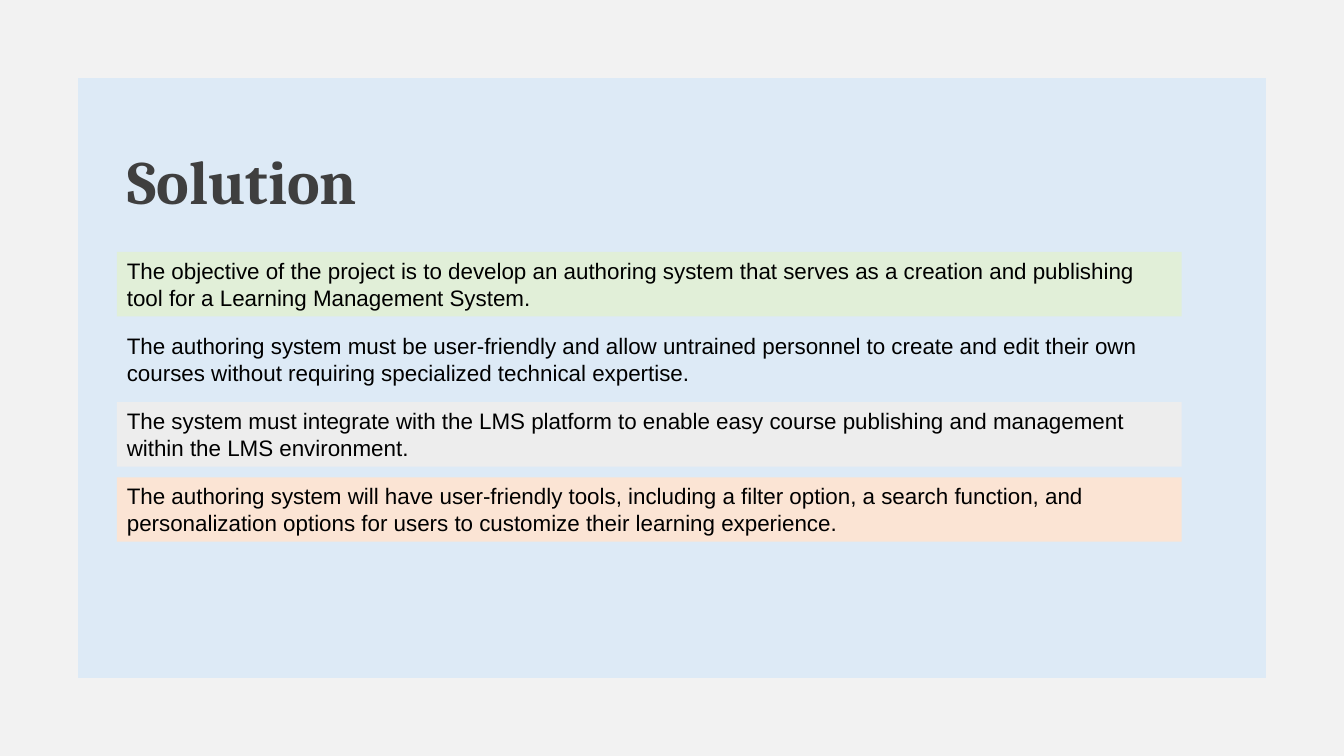
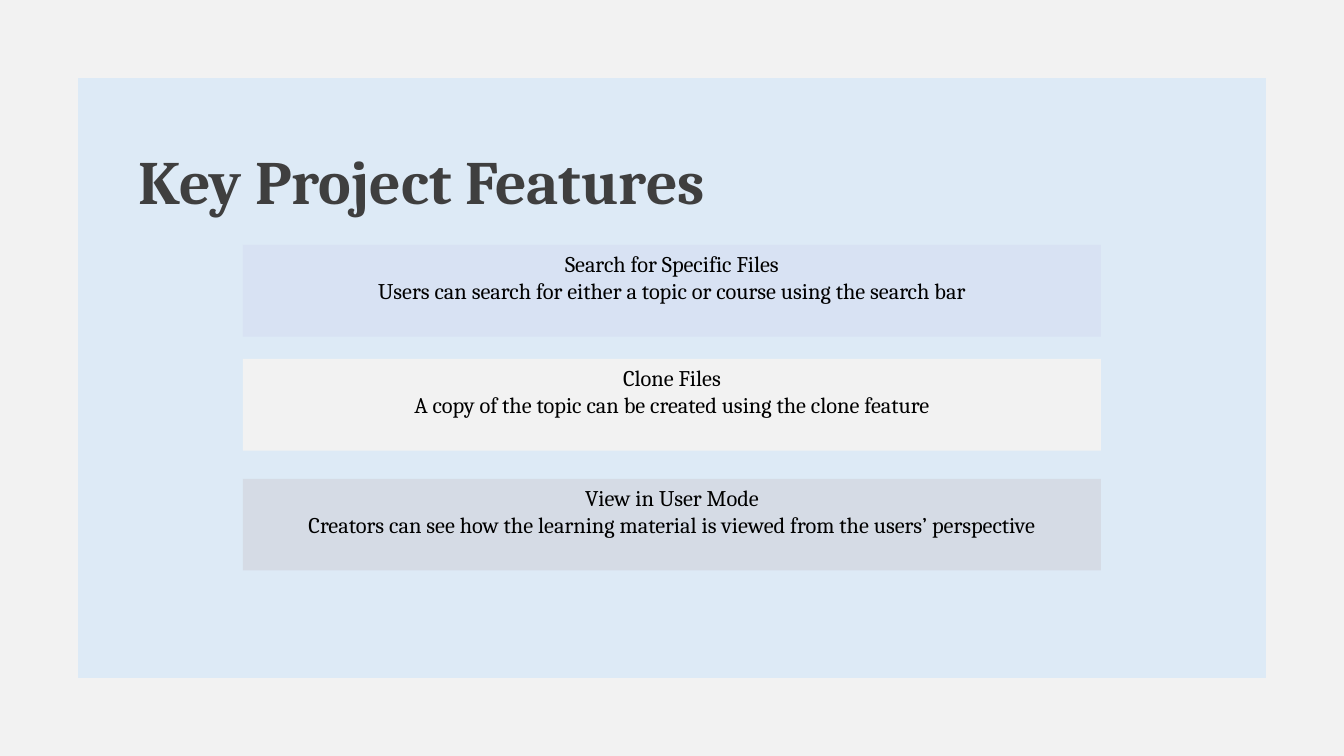
from pptx import Presentation
from pptx.dml.color import RGBColor
from pptx.enum.shapes import MSO_SHAPE as Shape
from pptx.enum.text import MSO_ANCHOR as Anchor, MSO_AUTO_SIZE as AutoSize, PP_ALIGN as Align
from pptx.util import Inches, Pt

# Shared style
PALE_BLUE = RGBColor(0xDD, 0xEA, 0xF6)
LIGHT_GREY = RGBColor(0xF2, 0xF2, 0xF2)
DARK_GREY = RGBColor(0x3F, 0x3F, 0x3F)
BLACK = RGBColor(0x00, 0x00, 0x00)
GREEN = RGBColor(0xE1, 0xEF, 0xD8)
SILVER = RGBColor(0xED, 0xED, 0xED)
PEACH = RGBColor(0xFB, 0xE4, 0xD4)
LAVENDER = RGBColor(0xD8, 0xE2, 0xF3)
SLATE = RGBColor(0xD5, 0xDB, 0xE5)
SERIF = "Cambria"
SANS = "Arial"

presentation = Presentation()
presentation.slide_width = Inches(13.33)
presentation.slide_height = Inches(7.5)
background = presentation.slide_master.background.fill
background.solid()
background.fore_color.rgb = PALE_BLUE
title_only = presentation.slide_layouts[5]


def add_framed_slide(heading, left, width):
    """Add a slide with the grey frame and a bold title."""
    slide = presentation.slides.add_slide(title_only)
    frame = slide.shapes.add_shape(
        Shape.FRAME, 0, 0, presentation.slide_width, presentation.slide_height)
    frame.adjustments[0] = 0.103
    frame.shadow.inherit = False
    frame.fill.solid()
    frame.fill.fore_color.rgb = LIGHT_GREY
    frame.line.fill.background()

    title = slide.shapes.title
    title.left, title.top = Inches(left), Inches(1.37)
    title.width, title.height = Inches(width), Inches(0.84)
    text_frame = title.text_frame
    text_frame.text = heading
    text_frame.auto_size = AutoSize.NONE
    text_frame.vertical_anchor = Anchor.TOP
    paragraph = text_frame.paragraphs[0]
    paragraph.alignment = Align.LEFT
    font = paragraph.runs[0].font
    font.name, font.size, font.bold = SERIF, Pt(44), True
    font.color.rgb = DARK_GREY
    return slide


def add_band(slide, left, top, width, height, color, text, font_name, alignment):
    """Add a filled band; each line of text is a paragraph."""
    band = slide.shapes.add_shape(
        Shape.RECTANGLE, Inches(left), Inches(top), Inches(width), Inches(height))
    band.shadow.inherit = False
    band.fill.solid()
    band.fill.fore_color.rgb = color
    band.line.fill.background()
    text_frame = band.text_frame
    text_frame.word_wrap = True
    text_frame.vertical_anchor = Anchor.TOP
    text_frame.text = text
    for paragraph in text_frame.paragraphs:
        paragraph.alignment = alignment
        font = paragraph.runs[0].font
        font.name, font.size = font_name, Pt(16)
        font.color.rgb = BLACK


# Slide 1: solution
solution_slide = add_framed_slide("Solution", 1.16, 5.39)
objectives = [
    (GREEN, "The objective of the project is to develop an authoring system that serves "
            "as a creation and publishing tool for a Learning Management System."),
    (PALE_BLUE, "The authoring system must be user-friendly and allow untrained personnel "
                "to create and edit their own courses without requiring specialized "
                "technical expertise."),
    (SILVER, "The system must integrate with the LMS platform to enable easy course "
             "publishing and management within the LMS environment."),
    (PEACH, "The authoring system will have user-friendly tools, including a filter option, "
            "a search function, and personalization options for users to customize their "
            "learning experience."),
]
for index, (color, text) in enumerate(objectives):
    add_band(solution_slide, 1.16, 2.5 + index * 0.745, 10.56, 0.64,
             color, text, SANS, Align.LEFT)

# Slide 2: key features
features_slide = add_framed_slide("Key Project Features", 1.27, 8.27)
features = [
    (2.43, LAVENDER, "Search for Specific Files",
     "Users can search for either a topic or course using the search bar"),
    (3.56, LIGHT_GREY, "Clone Files",
     "A copy of the topic can be created using the clone feature"),
    (4.75, SLATE, "View in User Mode",
     "Creators can see how the learning material is viewed from the users’ perspective"),
]
for top, color, name, description in features:
    add_band(features_slide, 2.41, top, 8.51, 0.91,
             color, f"{name}\n{description}", SERIF, Align.CENTER)

presentation.save("out.pptx")
